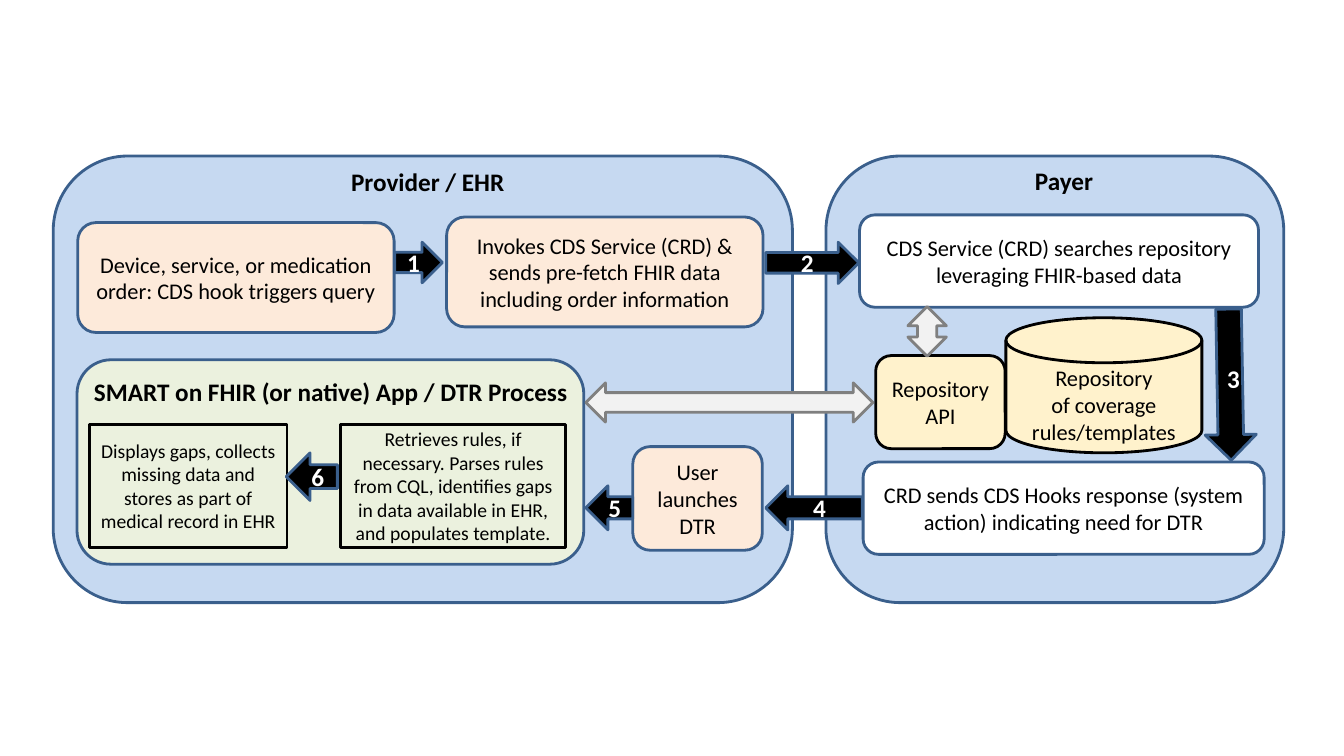
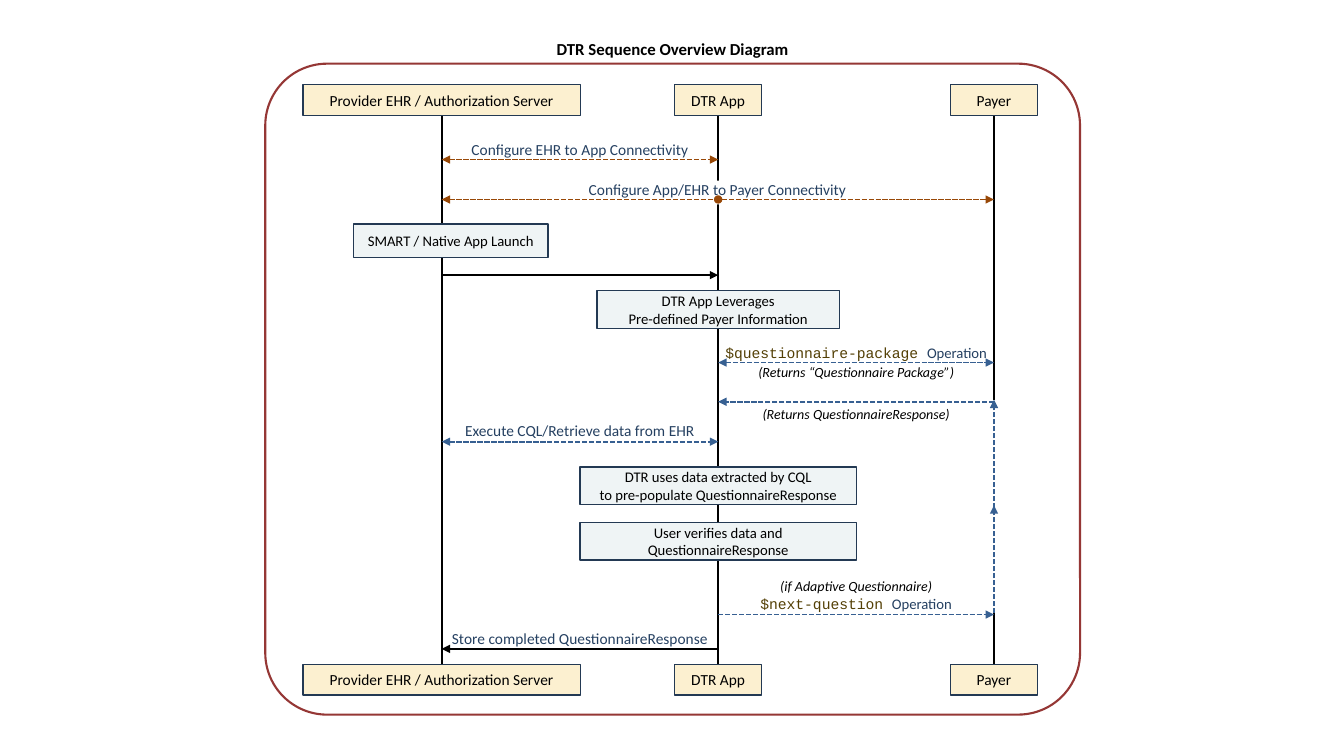
"""Build two slides on coverage discovery and documentation: a process flow and a sequence diagram."""
from pptx import Presentation
from pptx.dml.color import RGBColor
from pptx.enum.dml import MSO_LINE
from pptx.enum.shapes import MSO_CONNECTOR, MSO_SHAPE
from pptx.enum.text import MSO_ANCHOR, PP_ALIGN
from pptx.oxml.ns import qn
from pptx.util import Pt
from lxml import etree

RECT = MSO_SHAPE.RECTANGLE
ROUND = MSO_SHAPE.ROUNDED_RECTANGLE
DISK = MSO_SHAPE.FLOWCHART_MAGNETIC_DISK
OVAL = MSO_SHAPE.OVAL
RIGHT = MSO_SHAPE.RIGHT_ARROW
LEFT = MSO_SHAPE.LEFT_ARROW
BOTH_WAYS = MSO_SHAPE.LEFT_RIGHT_ARROW
STRAIGHT = MSO_CONNECTOR.STRAIGHT
CENTER = PP_ALIGN.CENTER
MIDDLE, TOP = MSO_ANCHOR.MIDDLE, MSO_ANCHOR.TOP
DASH = MSO_LINE.SQUARE_DOT

SANS, MONO = "Calibri", "Courier New"
COLORS = {
    "black": "000000", "white": "FFFFFF", "blue": "3A5F8C", "sky": "C6D9F1",
    "peach": "FDEADA", "green": "EBF1DE", "yellow": "FFF2CC", "silver": "F2F2F2",
    "gray": "808080", "red": "953735", "cream": "FCF0D0", "navy": "233953",
    "mist": "EFF4F5", "rust": "984807", "steel": "376092", "ink": "254061",
    "olive": "533F05",
}

# fmt: off
LOOKS = {
    "panel": ("sky", "blue", 2), "white": ("white", "blue", 2),
    "peach": ("peach", "blue", 2), "app": ("green", "blue", 2),
    "task": ("green", "black", 2), "store": ("yellow", "black", 2),
    "step": ("black", "blue", 2), "link": ("silver", "gray", 2),
    "frame": (None, "red", 1.5), "actor": ("cream", "navy", 1),
    "note": ("mist", "navy", 1), "plain": (None, None, 0),
    "mask": ("white", None, 0), "dot": ("rust", None, 0),
}
STYLES = {
    "heading": (18, "black", SANS, True, False),
    "step": (18, "white", SANS, True, False),
    "body": (16, "black", SANS, False, False),
    "task": (14, "black", SANS, False, False),
    "title": (12, "black", SANS, True, False),
    "actor": (11, "black", SANS, False, False),
    "message": (11, "ink", SANS, False, False),
    "note": (10.5, "black", SANS, False, False),
    "code": (10.5, "olive", MONO, False, False),
    "operation": (10.5, "ink", SANS, False, False),
    "aside": (10, "black", SANS, False, True),
}

PANELS = [
    ((38, 111.5, 528, 319), "panel"),
    ((590, 111.5, 327, 319), "panel"),
    ((55, 257, 362, 146), "app"),
]
HEADINGS = [
    ((234, 115, 143, 29), "Provider / EHR"),
    ((718, 114.5, 84, 29), "Payer"),
    ((55.5, 265, 361.5, 29), "SMART on FHIR (or native) App / DTR Process"),
]
BOXES = [
    (ROUND, (55.5, 159, 226, 78.5), "peach", "body",
     ["Device, service, or medication order: CDS hook triggers query"]),
    (ROUND, (319, 155, 226, 78.5), "peach", "body",
     ["Invokes CDS Service (CRD) & sends pre-fetch FHIR data including order information"]),
    (ROUND, (614, 153.5, 285, 66), "white", "body",
     ["CDS Service (CRD) searches repository leveraging FHIR-based data"]),
    (ROUND, (616.5, 330, 286.5, 66), "white", "body",
     ["CRD sends CDS Hooks response (system action) indicating need for DTR"]),
    (ROUND, (625.5, 254, 92.5, 66.5), "store", "body", ["Repository", "API"]),
    (ROUND, (452, 319, 92.5, 74), "peach", "body", ["User launches DTR"]),
    (RECT, (64, 303, 141, 88), "task", "task",
     ["Displays gaps, collects missing data and stores as part of medical record in EHR"]),
    (RECT, (243.5, 303, 160.5, 88), "task", "task",
     ["Retrieves rules, if necessary. Parses rules from CQL, identifies gaps in data "
      "available in EHR, and populates template."]),
]
REPOSITORY = ((718.5, 227, 140, 96.5), ["Repository", "of coverage", "rules/templates"])
LINKS = [
    ((644.5, 223, 35.5, 27.5), 90),
    ((418.5, 273.5, 205, 28), 0),
]
STEPS = [
    (RIGHT, (282, 173, 34, 29), 0),
    (RIGHT, (547, 173, 66.5, 29.5), 0),
    (RIGHT, (824.5, 256.5, 108, 36.5), 89),
    (LEFT, (547, 347, 69, 31.5), 0),
    (LEFT, (418.5, 347, 33.5, 31.5), 0),
    (LEFT, (204.5, 323.5, 36.5, 34), 0),
]

FRAME = (189.5, 45.5, 582, 465)
TITLE = "DTR Sequence Overview Diagram"
EHR, APP, PAYER = 315.5, 513, 710
ACTORS = [
    (EHR, 198, "Provider EHR / Authorization Server"),
    (APP, 62, "DTR App"),
    (PAYER, 62, "Payer"),
]
ACTOR_TOPS, ACTOR_H = (60.5, 474.5), 22
LIFELINES = [(EHR, 82.5, 475), (APP, 82.5, 475), (PAYER, 82.5, 286), (PAYER, 438, 475)]
NOTES = [
    (322, 160, 139, 24, ["SMART / Native App Launch"]),
    (APP, 207.5, 173, 27, ["DTR App Leverages", "Pre-defined Payer Information"]),
    (APP, 333.5, 197.5, 27,
     ["DTR uses data extracted by CQL", "to pre-populate QuestionnaireResponse"]),
    (APP, 373, 197.5, 27, ["User verifies data and QuestionnaireResponse"]),
]
LABELS = [
    (EHR, APP, 100, [("Configure EHR to App Connectivity", "message")]),
    (APP, PAYER, 245.5, [("$questionnaire-package ", "code"), ("Operation", "operation")]),
    (APP, PAYER, 260, [("(Returns “Questionnaire Package”)", "aside")]),
    (APP, PAYER, 289.5, [("(Returns QuestionnaireResponse)", "aside")]),
    (EHR, APP, 301, [("Execute CQL/Retrieve data from EHR", "message")]),
    (APP, PAYER, 412.5, [("(if Adaptive Questionnaire)", "aside")]),
    (APP, PAYER, 425, [("$next-question ", "code"), ("Operation", "operation")]),
    (EHR, APP, 449.5, [("Store completed QuestionnaireResponse", "message")]),
]
CROSSING_LABEL = ((398.5, 129, 228, 17), "Configure App/EHR to Payer Connectivity")
CROSSING_Y, DOT = 142.5, 6
MESSAGES = [
    ((EHR, 114), (APP, 114), "rust", True, True),
    ((EHR, CROSSING_Y), (PAYER, CROSSING_Y), "rust", True, True),
    ((EHR, 196.5), (APP, 196.5), "black", False, False),
    ((APP, 259), (PAYER, 259), "steel", True, True),
    ((PAYER, 287), (APP, 287), "steel", True, False),
    ((EHR, 315.5), (APP, 315.5), "steel", True, True),
    ((APP, 439), (PAYER, 439), "steel", True, False),
    ((PAYER, 438), (PAYER, 361), "steel", True, False),
    ((PAYER, 363), (PAYER, 285.5), "steel", True, False),
    ((APP, 463.5), (EHR, 463.5), "black", False, False),
]
# fmt: on


def rgb(name):
    return RGBColor.from_string(COLORS[name])


def write(tf, lines, style, anchor=MIDDLE, insets=None):
    """Fill a text frame; a line is a string or a list of (text, style) runs."""
    tf.word_wrap = True
    tf.vertical_anchor = anchor
    if insets:
        tf.margin_left, tf.margin_top, tf.margin_right, tf.margin_bottom = map(Pt, insets)
    for i, line in enumerate(lines):
        p = tf.add_paragraph() if i else tf.paragraphs[0]
        p.alignment = CENTER
        for text, name in [(line, style)] if isinstance(line, str) else line:
            r = p.add_run()
            r.text = text
            size, color, font, bold, italic = STYLES[name]
            r.font.size, r.font.name = Pt(size), font
            r.font.bold, r.font.italic = bold, italic
            r.font.color.rgb = rgb(color)


def shape(s, kind, box, look, rotation=0):
    """Add a preset shape with a named look."""
    sp = s.shapes.add_shape(kind, *map(Pt, box))
    sp.shadow.inherit = False
    sp.rotation = rotation
    fill, line, width = LOOKS[look]
    if fill:
        sp.fill.solid()
        sp.fill.fore_color.rgb = rgb(fill)
    else:
        sp.fill.background()
    if line:
        sp.line.color.rgb = rgb(line)
        sp.line.width = Pt(width)
    else:
        sp.line.fill.background()
    return sp


def label(s, box, lines, style, insets=None):
    """Add a top-anchored text box."""
    sp = s.shapes.add_textbox(*map(Pt, box))
    write(sp.text_frame, lines, style, TOP, insets)


def line(s, start, end, color, dashed=False, heads=()):
    """Add a straight connector with optional arrowheads."""
    c = s.shapes.add_connector(STRAIGHT, *map(Pt, start + end))
    c.line.color.rgb = rgb(color)
    c.line.width = Pt(1.25)
    if dashed:
        c.line.dash_style = DASH
    ln = c.line._get_or_add_ln()
    for head in heads:
        etree.SubElement(ln, qn(f"a:{head}")).set("type", "triangle")
    etree.SubElement(c._element.spPr, qn("a:effectLst"))


def process_slide(s):
    """Draw the provider and payer process flow."""
    for box, look in PANELS:
        shape(s, ROUND, box, look)
    for box, text in HEADINGS:
        label(s, box, [text], "heading")
    for kind, box, look, style, lines in BOXES:
        write(shape(s, kind, box, look).text_frame, lines, style)
    box, lines = REPOSITORY
    write(shape(s, DISK, box, "store").text_frame, lines, "body", insets=(7, 11, 7, 0))
    for box, rotation in LINKS:
        shape(s, BOTH_WAYS, box, "link", rotation)
    for number, (kind, box, rotation) in enumerate(STEPS, 1):
        tf = shape(s, kind, box, "step", rotation).text_frame
        write(tf, [str(number)], "step")
        if rotation:
            tf._txBody.bodyPr.set("vert", "vert270")


def sequence_slide(s):
    """Draw the sequence diagram."""
    shape(s, ROUND, FRAME, "frame").adjustments[0] = 0.095
    flush = (0, 0, 0, 0)
    label(s, (FRAME[0], 27.5, FRAME[2], 14.5), [TITLE], "title", flush)
    for x, top, bottom in LIFELINES:
        line(s, (x, top), (x, bottom), "black")
    for x, w, name in ACTORS:
        for top in ACTOR_TOPS:
            sp = shape(s, RECT, (x - w / 2, top, w, ACTOR_H), "actor")
            write(sp.text_frame, [name], "actor")
    for x, top, w, h, lines in NOTES:
        write(shape(s, RECT, (x - w / 2, top, w, h), "note").text_frame, lines, "note")
    box, text = CROSSING_LABEL
    write(shape(s, RECT, box, "mask").text_frame, [text], "message", TOP, flush)
    for left, right, top, runs in LABELS:
        label(s, (left, top, right - left, 13.5), [runs], "message", flush)
    for start, end, color, dashed, both in MESSAGES:
        line(s, start, end, color, dashed, ("headEnd", "tailEnd") if both else ("tailEnd",))
    shape(s, OVAL, (APP - DOT / 2, CROSSING_Y - DOT / 2, DOT, DOT), "dot")


def main():
    prs = Presentation()
    prs.slide_width, prs.slide_height = Pt(960), Pt(540)
    for draw in (process_slide, sequence_slide):
        draw(prs.slides.add_slide(prs.slide_layouts[6]))
    prs.save("out.pptx")


if __name__ == "__main__":
    main()
